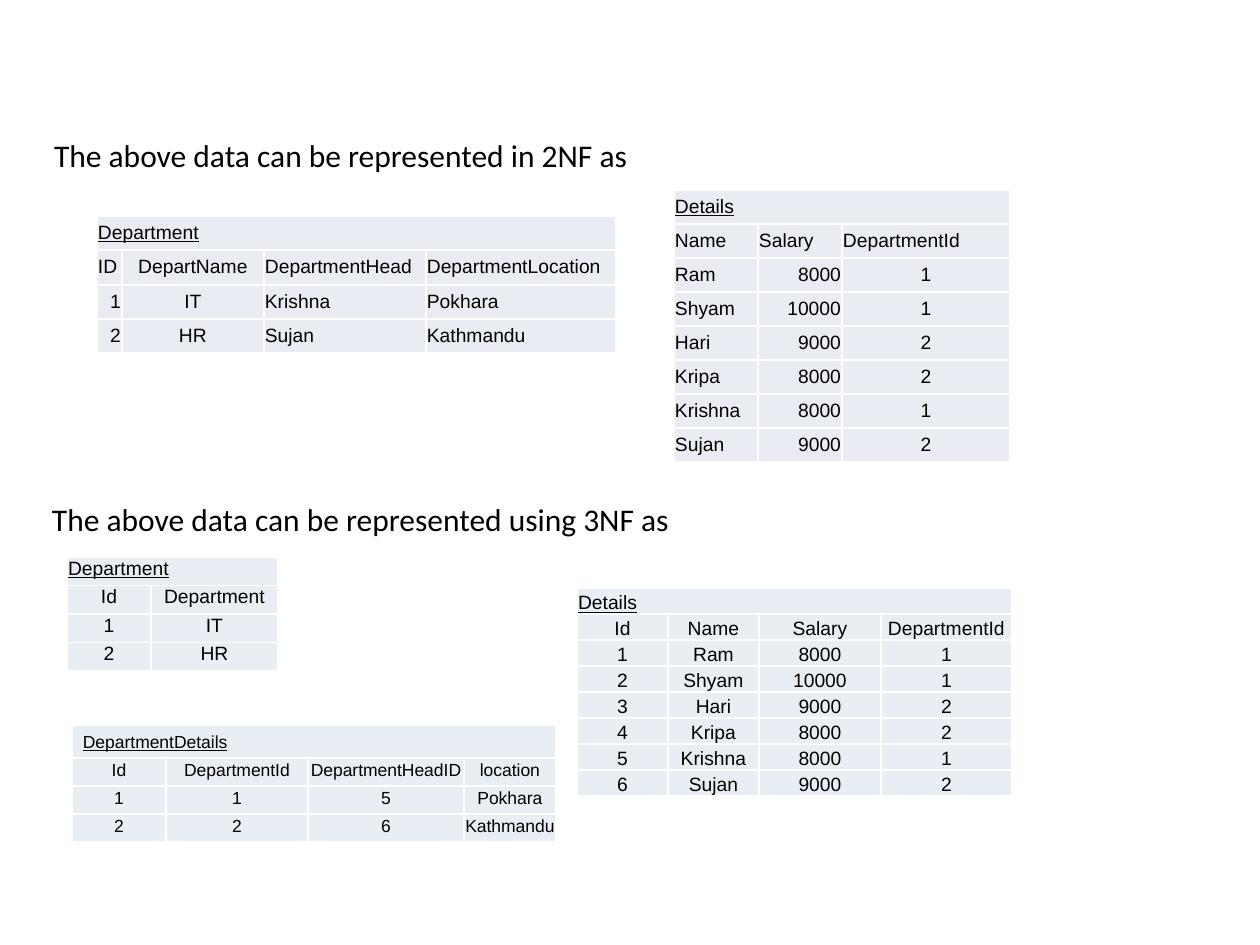
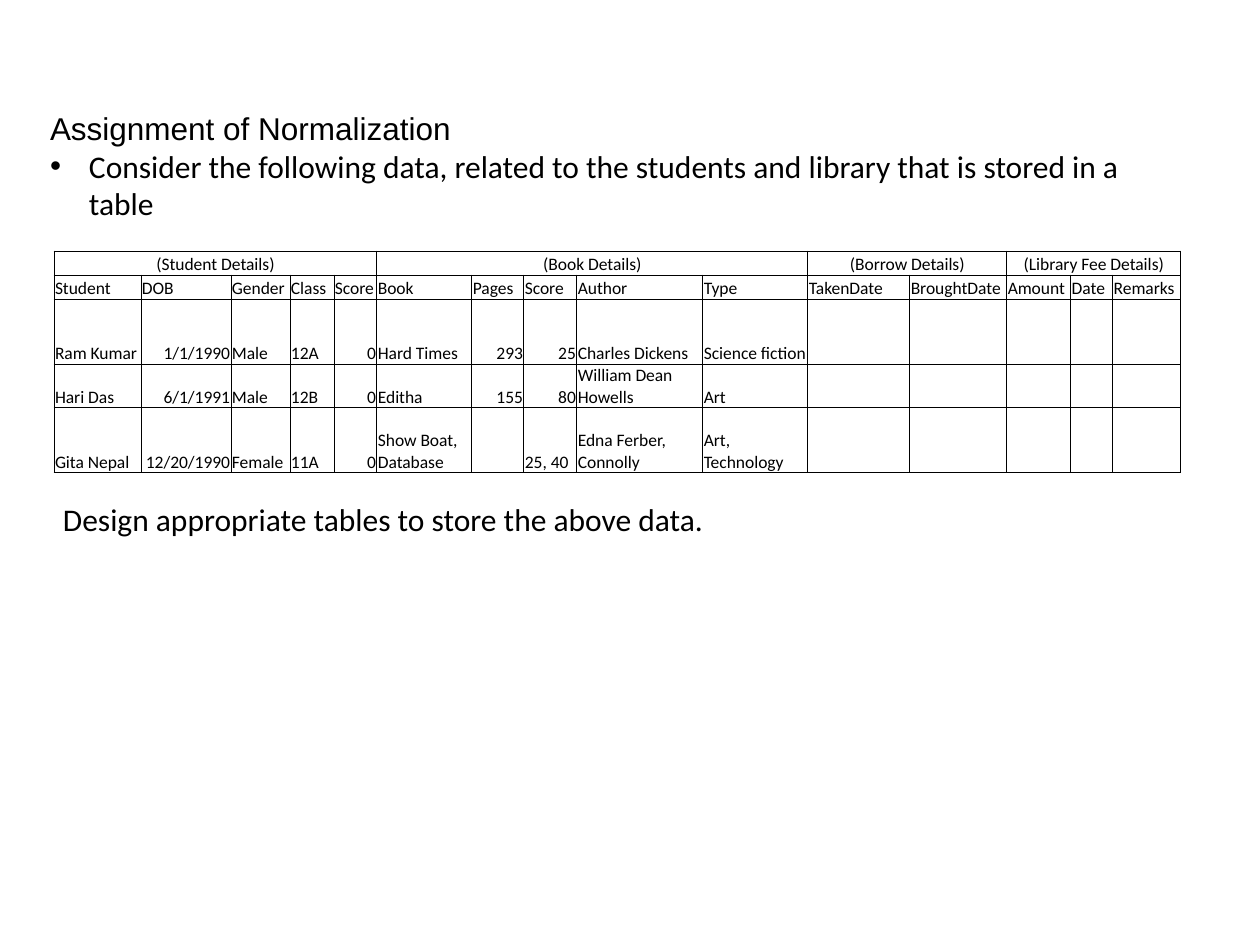
"""Build two slides of normalization tables."""
from pptx import Presentation
from pptx import util as u
from pptx.dml.color import RGBColor
from pptx.enum import text as t
from pptx.oxml import parse_xml
from pptx.oxml.ns import nsdecls

BLACK = RGBColor(0x00, 0x00, 0x00)
WHITE = RGBColor(0xFF, 0xFF, 0xFF)
MIST = RGBColor(0xE9, 0xEC, 0xF3)
PALE = RGBColor(0xE9, 0xED, 0xF4)
SCALE = 914400 / 126
WIDE = 1134
HANG = 39
TITLE, BODY = 5, 1
SIDES = ("left", "top", "right", "bottom")
ALIGN = {"l": t.PP_ALIGN.LEFT, "c": t.PP_ALIGN.CENTER, "r": t.PP_ALIGN.RIGHT}
TOP, MID, LOW = t.MSO_ANCHOR.TOP, t.MSO_ANCHOR.MIDDLE, t.MSO_ANCHOR.BOTTOM


def px(num):
    """Turn px into EMU."""
    return u.Emu(round(num * SCALE))


def put(obj, vals):
    """Set attributes from a dict."""
    for key, val in vals.items():
        setattr(obj, key, val)


def pads(nums):
    """Name four insets as margin attributes."""
    return {f"margin_{side}": px(num) for side, num in zip(SIDES, nums)}


class Deck:
    """Hold the style and the current slide."""

    def __init__(self):
        self.show = Presentation()
        put(self.show, {"slide_width": px(1260), "slide_height": px(945)})

    def page(self, kind):
        """Start a slide."""
        self.slide = self.show.slides.add_slide(self.show.slide_layouts[kind])

    def run(self, para, words, font, size, line=False):
        """Add a formatted run."""
        run = para.add_run()
        run.text = words
        put(run.font, {"name": font, "size": u.Pt(size), "underline": line})
        run.font.color.rgb = BLACK

    def fill(self, shape, box, lines):
        """Place a text shape and write its lines."""
        put(shape, dict(zip(("left", "top", "width", "height"), map(px, box))))
        frame = shape.text_frame
        put(frame, {"word_wrap": True, "auto_size": t.MSO_AUTO_SIZE.NONE,
                    "vertical_anchor": MID, **pads((0, 0, 0, 0))})
        for num, (words, font, dot) in enumerate(lines):
            para = frame.add_paragraph() if num else frame.paragraphs[0]
            self.mark(para, dot)
            put(para, {"alignment": ALIGN["l"], "space_before": u.Pt(0)})
            self.run(para, words, font, 18)

    def mark(self, para, dot):
        """Set or clear the bullet of a paragraph."""
        props = para._p.get_or_add_pPr()
        hang = px(HANG) if dot else 0
        props.set("marL", str(hang))
        props.set("indent", str(-hang))
        names = nsdecls("a")
        marks = [f"<a:buNone {names}/>"]
        if dot:
            marks = [f'<a:buClr {names}><a:srgbClr val="{BLACK}"/></a:buClr>',
                     f'<a:buFont {names} typeface="Arial"/>',
                     f'<a:buChar {names} char="•"/>']
        for mark in marks:
            props.append(parse_xml(mark))

    def title(self, box, words):
        """Write the title placeholder."""
        self.fill(self.slide.shapes.title, box, [(words, "Calibri", False)])

    def list(self, box, lines):
        """Write the body placeholder and drop the unused title."""
        self.fill(self.slide.placeholders[1], box, lines)
        top = self.slide.shapes.title._element
        top.getparent().remove(top)

    def note(self, box, words):
        """Write a text box."""
        shape = self.slide.shapes.add_textbox(*map(px, box))
        self.fill(shape, box, [(words, "Calibri", False)])

    def edge(self, cell, color, width):
        """Draw the four borders of a cell."""
        props = cell._tc.get_or_add_tcPr()
        for num, side in enumerate("LRTB"):
            props.insert(num, parse_xml(
                f'<a:ln{side} {nsdecls("a")} w="{u.Pt(width)}"><a:solidFill>'
                f'<a:srgbClr val="{color}"/></a:solidFill></a:ln{side}>'))

    def table(self, at, cols, rows, heads, ways, data, inset, anchor=LOW, size=11,
              font="Arial", back=None, rim=WHITE, width=1, first=None):
        """Add a table with a row of merged heads over rows of data."""
        frame = self.slide.shapes.add_table(
            len(rows), len(cols), *map(px, (*at, sum(cols), sum(rows))))
        grid = frame.table
        put(grid, {"first_row": False, "horz_banding": False})
        for col, wide in zip(grid.columns, cols):
            col.width = px(wide)
        for row, high in zip(grid.rows, rows):
            row.height = px(high)
        for cell in grid.iter_cells():
            put(cell, {"vertical_anchor": anchor, **pads(inset)})
            self.edge(cell, rim, width)
            if back is None:
                cell.fill.background()
            else:
                cell.fill.solid()
                cell.fill.fore_color.rgb = back
        left = 0
        for words, span in heads:
            cell = grid.cell(0, left)
            cell.merge(grid.cell(0, left + span - 1))
            put(cell, {"vertical_anchor": LOW if anchor == MID else anchor,
                       **pads(first or inset)})
            para = cell.text_frame.paragraphs[0]
            para.alignment = ALIGN["l" if back else "c"]
            self.run(para, words, font, size, bool(back))
            left += span
        for r, (way, line) in enumerate(zip(ways, data), 1):
            for c, (side, words) in enumerate(zip(way, line.split("|"))):
                if words:
                    para = grid.cell(r, c).text_frame.paragraphs[0]
                    para.alignment = ALIGN[side]
                    self.run(para, words, font, size)


def forms(deck):
    """Build the slide of second and third normal forms."""
    deck.page(TITLE)
    deck.title((54, 102, WIDE, 105), "The above data can be represented in 2NF as")
    deck.note((52, 466, WIDE, 105), "The above data can be represented using 3NF as")
    second = {"inset": (1, 6, 1, 6), "anchor": TOP, "back": MIST, "width": 0.96}
    third = {"inset": (1, 1, 1, 6), "back": PALE}
    staff = [("Ram", 8000, 1), ("Shyam", 10000, 1), ("Hari", 9000, 2),
             ("Kripa", 8000, 2), ("Krishna", 8000, 1), ("Sujan", 9000, 2)]
    deck.table((97, 216), (25, 142, 162, 190), (34, 35, 34, 34),
               [("Department", 4)], ["lcll"] + ["rcll"] * 2,
               ["ID|DepartName|DepartmentHead|DepartmentLocation",
                "1|IT|Krishna|Pokhara", "2|HR|Sujan|Kathmandu"], **second)
    deck.table((674, 190), (84, 84, 168), [34] * 8, [("Details", 3)],
               ["lll"] + ["lrc"] * 6,
               ["Name|Salary|DepartmentId"]
               + [f"{name}|{pay}|{dept}" for name, pay, dept in staff], **second)
    deck.table((67, 557), (84, 127), [28] * 4, [("Department", 2)], ["cc"] * 3,
               ["Id|Department", "1|IT", "2|HR"], anchor=MID, **third)
    deck.table((72, 725), (94, 142, 156, 92), (33, 28, 28, 28),
               [("DepartmentDetails", 4)], ["cccc"] * 3,
               ["Id|DepartmentId|DepartmentHeadID|location",
                "1|1|5|Pokhara", "2|2|6|Kathmandu"],
               size=10, first=(11, 6, 11, 6), **third)
    third["inset"] = (1, 1, 1, 0)
    deck.table((577, 588), (91, 91, 122, 131), [26] * 8, [("Details", 4)],
               ["cccc"] * 7,
               ["Id|Name|Salary|DepartmentId"]
               + [f"{num}|{name}|{pay}|{dept}"
                  for num, (name, pay, dept) in enumerate(staff, 1)], **third)


def task(deck):
    """Build the assignment slide."""
    deck.page(BODY)
    deck.list((50, 113, WIDE, 105), [
        ("Assignment of Normalization", "Arial", False),
        ("Consider the following data, related to the students and library "
         "that is stored in a table", "Calibri", True)])
    deck.note((63, 494, WIDE, 49), "Design appropriate tables to store the above data.")
    deck.table(
        (54, 251),
        (87, 90, 59, 44, 43, 95, 52, 53, 126, 105, 102, 97, 64, 42, 68),
        (24, 24, 65, 44, 65),
        [("(Student Details)", 5), ("(Book Details)", 5),
         ("(Borrow Details)", 2), ("(Library Fee Details)", 3)],
        ["l" * 15, "lrllrlrrll", "lrllrlrrll", "lrllrlrlll"],
        ["Student|DOB|Gender|Class|Score|Book|Pages|Score|Author|Type|"
         "TakenDate|BroughtDate|Amount|Date|Remarks",
         "Ram Kumar|1/1/1990|Male|12A|0|Hard Times|293|25|Charles Dickens|Science fiction",
         "Hari Das|6/1/1991|Male|12B|0|Editha|155|80|William Dean Howells|Art",
         "Gita Nepal|12/20/1990|Female|11A|0|Show Boat, Database||25, 40|"
         "Edna Ferber, Connolly|Art, Technology"],
        (1, 1, 1, 0), size=10, font="Calibri", rim=BLACK, width=0.5)


def main():
    """Build and save the deck."""
    deck = Deck()
    forms(deck)
    task(deck)
    deck.show.save("out.pptx")


if __name__ == "__main__":
    main()
